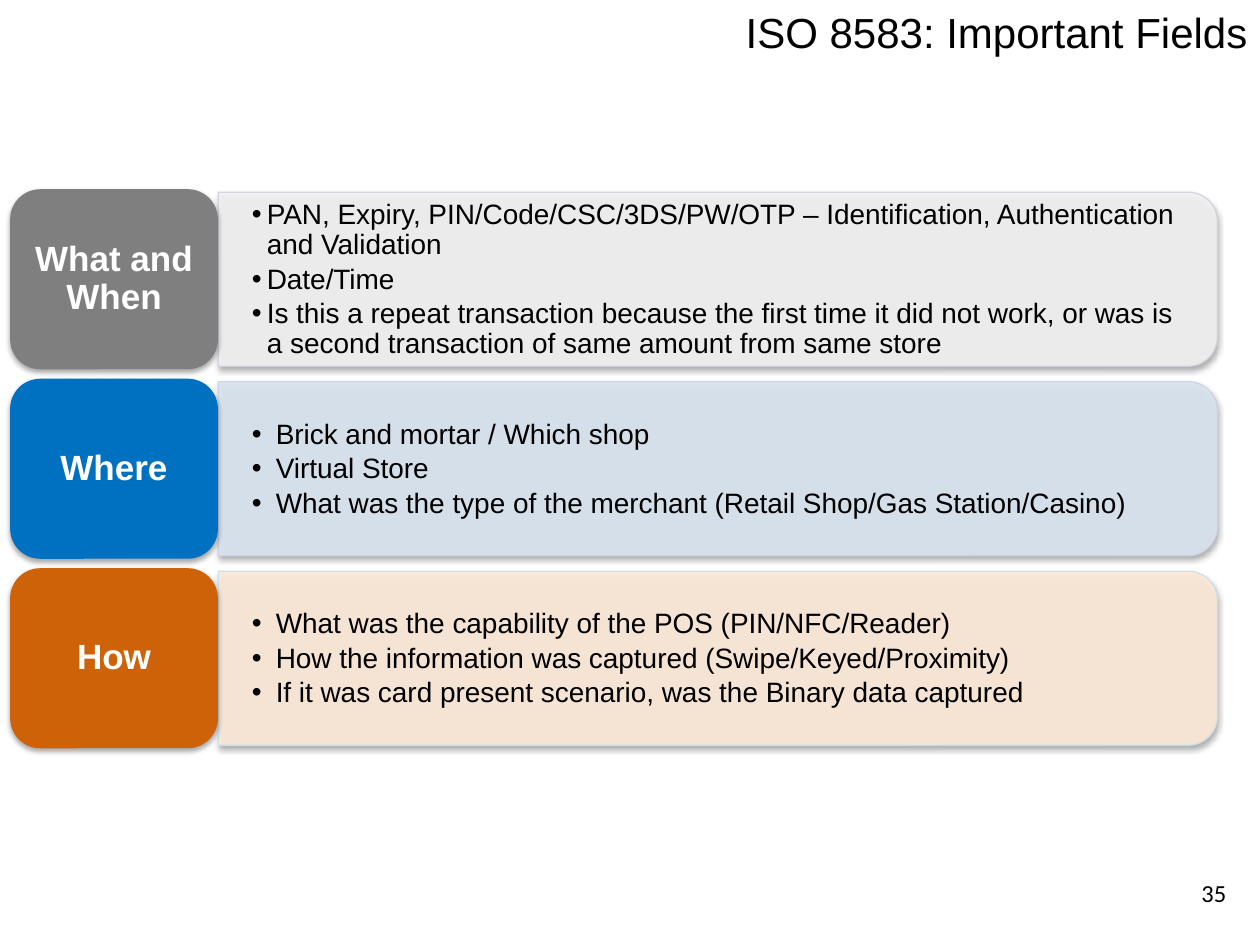
from lxml.etree import SubElement
from pptx import Presentation
from pptx.dml.color import RGBColor
from pptx.enum.shapes import MSO_SHAPE as SHAPE
from pptx.enum.text import MSO_ANCHOR as ANCHOR, PP_ALIGN as ALIGN
from pptx.oxml.ns import qn
from pptx.util import Cm, Pt

TOP, PITCH = 5.63, 3.82
ROWS = [
    ("What and When", "7F7F7F", "F2F2F2", "D7D1DF", 0.3, [
        "PAN, Expiry, PIN/Code/CSC/3DS/PW/OTP – Identification, "
        "Authentication and Validation",
        "Date/Time",
        "Is this a repeat transaction because the first time it did not work, "
        "or was is a second transaction of same amount from same store",
    ]),
    ("Where", "0070C0", "DAE5F1", "CED3E4", 0.48, [
        "Brick and mortar / Which shop",
        "Virtual Store",
        "What was the type of the merchant (Retail Shop/Gas Station/Casino)",
    ]),
    ("How", "CD6209", "FDE9D8", "CCE0E9", 0.48, [
        "What was the capability of the POS (PIN/NFC/Reader)",
        "How the information was captured (Swipe/Keyed/Proximity)",
        "If it was card present scenario, was the Binary data captured",
    ]),
]


def rgb(color):
    return RGBColor.from_string(color)


def add_run(p, text, size, color="000000", font="Arial", bold=False):
    r = p.add_run()
    r.text = text
    r.font.size = Pt(size)
    r.font.name = font
    r.font.bold = bold
    r.font.color.rgb = rgb(color)


def set_frame(sp, anchor, dx, dy):
    tf = sp.text_frame
    tf.word_wrap = True
    tf.vertical_anchor = anchor
    tf.margin_left = tf.margin_right = Cm(dx)
    tf.margin_top = tf.margin_bottom = Cm(dy)
    return tf


def add_text(s, box, anchor, dx=0.25, dy=0.13):
    return set_frame(s.shapes.add_textbox(*map(Cm, box)), anchor, dx, dy)


def add_shadow(sp):
    sp.shadow.inherit = False
    effects = sp._element.spPr.find(qn("a:effectLst"))
    shadow = SubElement(effects, qn("a:outerShdw"), blurRad=str(Pt(3.1)),
                        dist=str(Pt(1.8)), dir="5400000", rotWithShape="0")
    color = SubElement(shadow, qn("a:srgbClr"), val="000000")
    SubElement(color, qn("a:alpha"), val="35000")


def set_alpha(sp, percent):
    for color in sp._element.spPr.iter(qn("a:srgbClr")):
        SubElement(color, qn("a:alpha"), val=str(percent * 1000))


def add_shape(s, kind, cx, cy, w, h, fill):
    sp = s.shapes.add_shape(kind, Cm(cx - w / 2), Cm(cy - h / 2), Cm(w), Cm(h))
    sp.adjustments[0] = 0.167
    sp.fill.solid()
    sp.fill.fore_color.rgb = rgb(fill)
    return sp


def add_panel(s, cy, fill, line):
    sp = add_shape(s, SHAPE.ROUND_2_SAME_RECTANGLE, 14.47, cy, 3.51, 20.14, fill)
    sp.rotation = 90
    sp.line.color.rgb = rgb(line)
    sp.line.width = Pt(0.75)
    set_alpha(sp, 90)
    add_shadow(sp)


def add_bullets(s, cy, items, indent):
    tf = add_text(s, (4.39, cy - 1.57, 19.99, 3.18), ANCHOR.MIDDLE, 0.69, 0.36)
    for i, item in enumerate(items):
        p = tf.paragraphs[0] if i == 0 else tf.add_paragraph()
        p.level = 1
        p.line_spacing = 0.9
        p.space_before = Pt(2.4 if i else 0)
        pPr = p._p.get_or_add_pPr()
        pPr.set("marL", str(Cm(indent)))
        pPr.set("indent", str(-Cm(indent)))
        color = SubElement(pPr, qn("a:buClr"))
        SubElement(color, qn("a:srgbClr"), val="000000")
        SubElement(pPr, qn("a:buFont"), typeface="Arial")
        SubElement(pPr, qn("a:buChar"), char="•")
        add_run(p, item, 16)


def add_label(s, cy, text, fill):
    sp = add_shape(s, SHAPE.ROUNDED_RECTANGLE, 2.3, cy, 4.19, 3.63, fill)
    sp.line.fill.background()
    add_shadow(sp)
    p = set_frame(sp, ANCHOR.MIDDLE, 0.2, 0.1).paragraphs[0]
    p.alignment = ALIGN.CENTER
    p.line_spacing = 0.9
    add_run(p, text, 20, "FFFFFF", bold=True)


def add_right_line(s, box, anchor, text, size, font):
    p = add_text(s, box, anchor).paragraphs[0]
    p.alignment = ALIGN.RIGHT
    add_run(p, text, size, font=font)


def main():
    prs = Presentation()
    prs.slide_width, prs.slide_height = Cm(25.4), Cm(19.05)
    s = prs.slides.add_slide(prs.slide_layouts[6])
    add_right_line(s, (5.28, 0, 20.12, 1.47), ANCHOR.TOP,
                   "ISO 8583: Important Fields", 24, "Arial")
    add_right_line(s, (19.05, 17.58, 5.92, 1.02), ANCHOR.TOP, "35", 14, "Calibri")
    for i, (label, fill, tint, line, indent, items) in enumerate(ROWS):
        cy = TOP + i * PITCH
        add_panel(s, cy, tint, line)
        add_bullets(s, cy, items, indent)
        add_label(s, cy, label, fill)
    prs.save("out.pptx")


if __name__ == "__main__":
    main()
